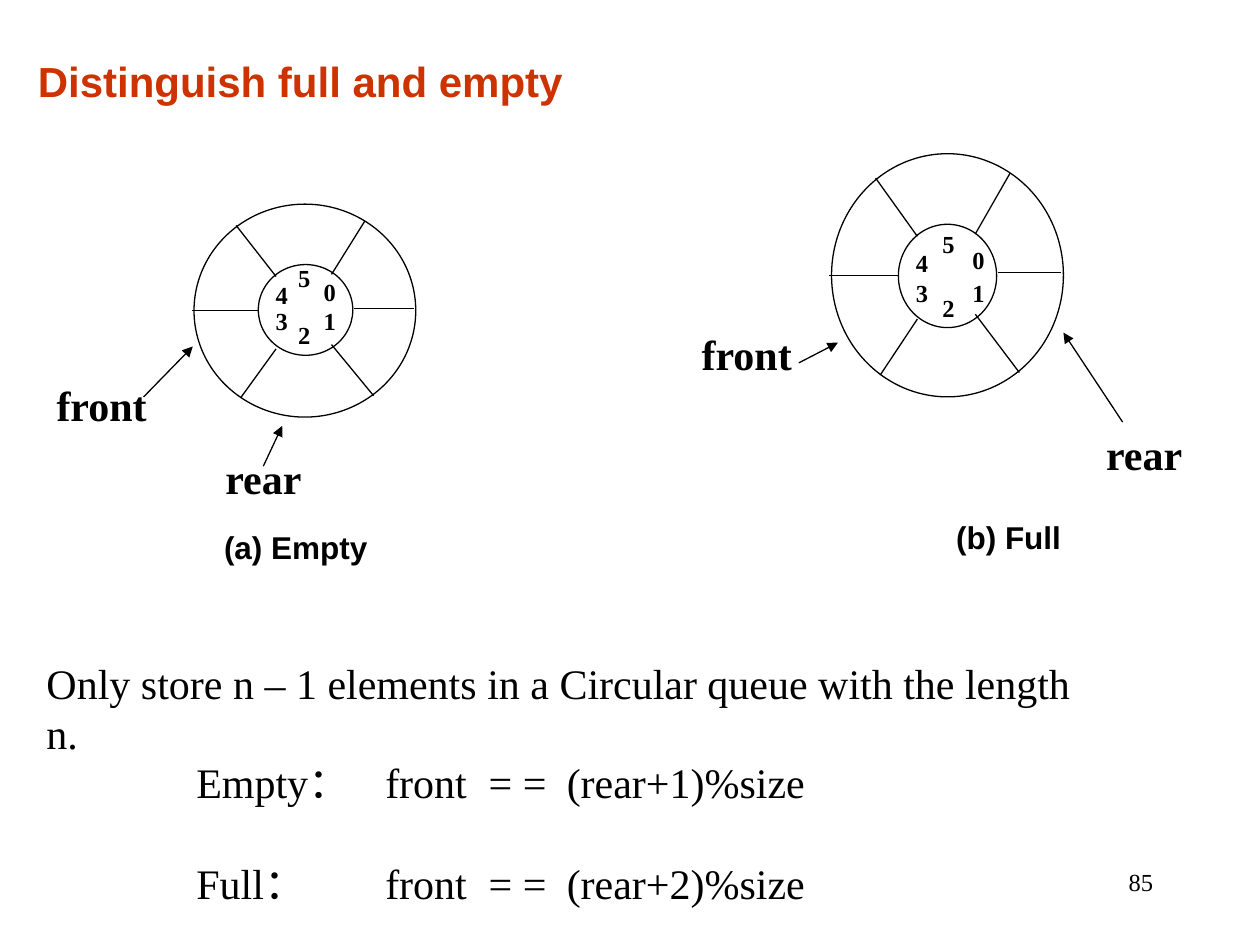
from dataclasses import dataclass

import pptx
import pptx.dml.color
import pptx.enum.shapes
import pptx.enum.text
import pptx.oxml
import pptx.oxml.ns
import pptx.util

Pt = pptx.util.Pt
PP_ALIGN = pptx.enum.text.PP_ALIGN
ANCHOR = pptx.enum.text.MSO_ANCHOR
COLS, ROWS = 100, 75


def rgb(value):
    return pptx.dml.color.RGBColor.from_string(value)


@dataclass(frozen=True)
class Theme:
    ink: str = "000000"
    paper: str = "FFFFFF"
    accent: str = "CC3300"
    sans: str = "Arial"
    serif: str = "Times New Roman"
    large: int = 24
    medium: int = 18
    small: int = 14
    line: float = 0.75


# Spokes as shares of the outer ring, from (x, y) to (x, y)
SPOKES = [
    (0.72, 0.49, 0.99, 0.49),
    (0.29, 0.5, -0.01, 0.5),
    (0.77, 0.08, 0.62, 0.33),
    (0.37, 0.68, 0.21, 0.91),
    (0.62, 0.66, 0.81, 0.9),
    (0.37, 0.34, 0.19, 0.1),
]
# Slot numbers as shares of the area their top left corners span
SLOTS = {
    "0": (1, 0.24), "1": (1, 0.76), "2": (0.47, 1),
    "3": (0, 0.76), "4": (0, 0.29), "5": (0.47, 0),
}


class Deck:
    """Draws on one slide; lengths are columns and rows of the grid."""

    def __init__(self, theme):
        self.theme = theme
        self.prs = pptx.Presentation()
        self.prs.slide_width = pptx.util.Inches(10)
        self.prs.slide_height = pptx.util.Inches(7.5)
        self.slide = self.prs.slides.add_slide(self.prs.slide_layouts[5])

    def x(self, cols):
        return round(self.prs.slide_width * cols / COLS)

    def y(self, rows):
        return round(self.prs.slide_height * rows / ROWS)

    def box(self, x, y, w, h):
        return self.x(x), self.y(y), self.x(w), self.y(h)

    def run(self, p, text, size, font, bold, color):
        r = p.add_run()
        r.text = text
        r.font.size = Pt(size)
        r.font.name = font
        r.font.bold = bold
        r.font.color.rgb = rgb(color)

    def title(self, area, text):
        sp = self.slide.shapes.title
        sp.left, sp.top, sp.width, sp.height = self.box(*area)
        tf = sp.text_frame
        tf.word_wrap = False
        tf.vertical_anchor = ANCHOR.MIDDLE
        p = tf.paragraphs[0]
        p.alignment = PP_ALIGN.LEFT
        self.run(p, text, self.theme.large, self.theme.sans, True, self.theme.accent)

    def text(self, area, *lines, size=None, font=None, bold=False, wrap=False,
             align=PP_ALIGN.LEFT, anchor=ANCHOR.TOP):
        sp = self.slide.shapes.add_textbox(*self.box(*area))
        tf = sp.text_frame
        tf.word_wrap = wrap
        tf.vertical_anchor = anchor
        for i, line in enumerate(lines):
            p = tf.add_paragraph() if i else tf.paragraphs[0]
            p.alignment = align
            self.run(p, line, size or self.theme.large, font or self.theme.serif,
                     bold, self.theme.ink)
        return tf

    def caption(self, area, text):
        self.text(area, text, size=self.theme.medium, font=self.theme.sans,
                  bold=True, anchor=ANCHOR.MIDDLE)

    def formulas(self, area, stops, *lines):
        tf = self.text(area, *lines)
        for i, p in enumerate(tf.paragraphs):
            p.line_spacing = Pt(29)
            if i:
                p.space_before = Pt(29)
            tabs = pptx.oxml.parse_xml(f"<a:tabLst {pptx.oxml.ns.nsdecls('a')}/>")
            for stop in stops:
                tab = tabs.makeelement(pptx.oxml.ns.qn("a:tab"),
                                       {"pos": str(self.x(stop)), "algn": "l"})
                tabs.append(tab)
            p._p.get_or_add_pPr().append(tabs)

    def oval(self, x, y, w, h):
        sp = self.slide.shapes.add_shape(
            pptx.enum.shapes.MSO_SHAPE.OVAL, *self.box(x, y, w, h))
        sp.shadow.inherit = False
        sp.fill.solid()
        sp.fill.fore_color.rgb = rgb(self.theme.paper)
        sp.line.color.rgb = rgb(self.theme.ink)
        sp.line.width = Pt(self.theme.line)

    def line(self, x1, y1, x2, y2, arrow=False):
        c = self.slide.shapes.add_connector(
            pptx.enum.shapes.MSO_CONNECTOR.STRAIGHT,
            self.x(x1), self.y(y1), self.x(x2), self.y(y2))
        c.line.color.rgb = rgb(self.theme.ink)
        c.line.width = Pt(self.theme.line)
        ns = pptx.oxml.ns.nsdecls("a")
        if arrow:
            c.line._get_or_add_ln().append(
                pptx.oxml.parse_xml(f'<a:tailEnd {ns} type="triangle"/>'))
        c._element.spPr.append(pptx.oxml.parse_xml(f"<a:effectLst {ns}/>"))

    def queue(self, ring, hub, numbers):
        """Ring buffer: outer ring, hub and the area of the slot numbers."""
        self.oval(*ring)
        self.oval(*hub)
        x, y, w, h = ring
        for x1, y1, x2, y2 in SPOKES:
            self.line(x + w * x1, y + h * y1, x + w * x2, y + h * y2)
        x, y, w, h = numbers
        for slot, (dx, dy) in SLOTS.items():
            self.text((x + w * dx, y + h * dy, 3, 3.3), slot,
                      size=self.theme.small, bold=True)

    def pointer(self, area, name, arrow):
        self.text(area, name, bold=True)
        self.line(*arrow, arrow=True)


def main():
    deck = Deck(Theme())
    deck.title((2, 3.9, 44.9, 5), "Distinguish full and empty")

    deck.queue((15.4, 16.2, 17.6, 16.9), (20.5, 21, 7.5, 7.2), (20.9, 20.4, 3.8, 4.5))
    deck.pointer((3.5, 29.6, 9.2, 5), "front", (11.4, 31.5, 15.3, 27.5))
    deck.pointer((16.9, 35.4, 8.1, 5), "rear", (20.9, 37, 22.4, 33.8))
    deck.caption((16.8, 41.4, 13.4, 4), "(a) Empty")

    deck.queue((66, 12.2, 18.4, 19.3), (71.3, 17.8, 7.8, 8.2), (71.7, 17.7, 4.5, 5.1))
    deck.pointer((54.7, 25.6, 9.2, 5), "front", (63.4, 28.8, 66.5, 27.2))
    deck.pointer((86.8, 33.5, 8.1, 5), "rear", (89.1, 33.5, 84.4, 26.4))
    deck.caption((74.9, 40.6, 10.3, 4), "(b) Full")

    deck.text((2.7, 51.7, 86.5, 9),
              "Only store n – 1 elements in a Circular queue with the length n.", wrap=True)
    deck.formulas((14.6, 59.5, 51.7, 13), (15, 23.2, 29.4),
                  "Empty：\tfront\t= =\t(rear+1)%size",
                  "Full：\tfront\t= =\t(rear+2)%size")
    deck.text((71.7, 68.3, 20.8, 5), "85", size=deck.theme.small, wrap=True,
              align=PP_ALIGN.RIGHT)
    deck.prs.save("out.pptx")


if __name__ == "__main__":
    main()
